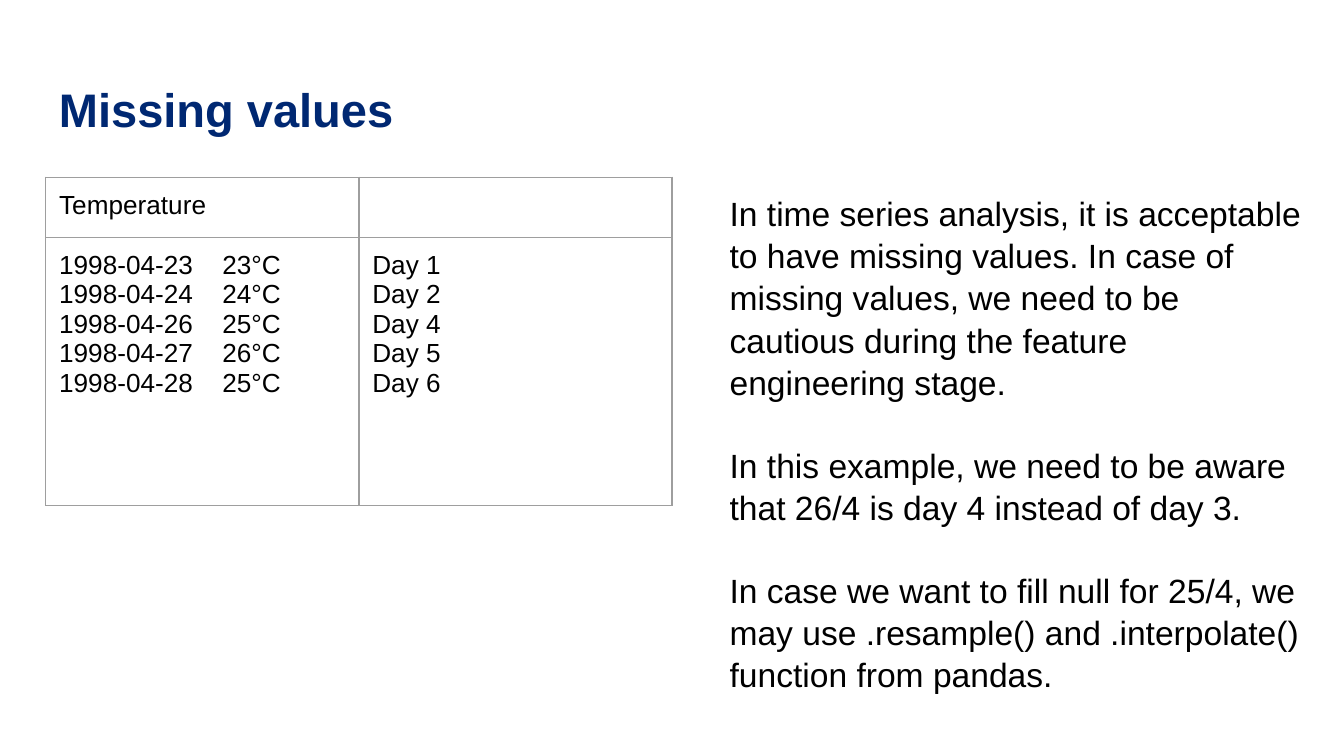
from lxml import etree
from pptx import Presentation
from pptx.dml.color import RGBColor
from pptx.enum.text import MSO_ANCHOR
from pptx.oxml.ns import qn
from pptx.util import Pt

TOP, MIDDLE = MSO_ANCHOR.TOP, MSO_ANCHOR.MIDDLE
BLANK_LAYOUT = 6
COLORS = {"title": "002872", "text": "000000", "border": "9E9E9E"}
TITLE_FONT = {"name": "Arial", "size": Pt(25.2), "bold": True}
TABLE_FONT = {"name": "Arial", "size": Pt(14), "bold": False}
BODY_FONT = {"name": "Arial", "size": Pt(18), "bold": False}
INSET = Pt(7.2)
MARGINS = ("margin_left", "margin_top", "margin_right", "margin_bottom")
LEFT, TOP_EDGE = Pt(24.5), Pt(95)
READING_TAB = Pt(87.4)

READINGS = [
    ("1998-04-23", "23°C", "Day 1"),
    ("1998-04-24", "24°C", "Day 2"),
    ("1998-04-26", "25°C", "Day 4"),
    ("1998-04-27", "26°C", "Day 5"),
    ("1998-04-28", "25°C", "Day 6"),
]
NOTES = [
    "In time series analysis, it is acceptable to have missing values. In case of "
    "missing values, we need to be cautious during the feature engineering stage.",
    "In this example, we need to be aware that 26/4 is day 4 instead of day 3.",
    "In case we want to fill null for 25/4, we may use .resample() and "
    ".interpolate() function from pandas.",
]


def set_values(target, values):
    for name, value in values.items():
        setattr(target, name, value)


def add_tab_stop(para, position):
    tabs = etree.SubElement(para._p.get_or_add_pPr(), qn("a:tabLst"))
    etree.SubElement(tabs, qn("a:tab"), pos=str(int(position)), algn="l")


def write_paragraphs(frame, lines, font, color, tab=None, spacing=None, gap=0):
    for index, line in enumerate(lines):
        para = frame.paragraphs[0] if index == 0 else frame.add_paragraph()
        if spacing:
            para.line_spacing = spacing
        if index and gap:
            para.space_before = gap
        if tab:
            add_tab_stop(para, tab)
        para.text = line
        set_values(para.font, font)
        para.font.color.rgb = RGBColor.from_string(COLORS[color])


def add_text(page, position, lines, font, color, anchor=TOP, **layout):
    frame = page.shapes.add_textbox(*position).text_frame
    set_values(frame, dict.fromkeys(MARGINS, INSET))
    set_values(frame, {"word_wrap": True, "vertical_anchor": anchor})
    write_paragraphs(frame, lines, font, color, **layout)


def set_borders(cell):
    properties = cell._tc.get_or_add_tcPr()
    for index, side in enumerate(("a:lnL", "a:lnR", "a:lnT", "a:lnB")):
        line = etree.Element(qn(side), w=str(int(Pt(0.75))))
        fill = etree.SubElement(line, qn("a:solidFill"))
        etree.SubElement(fill, qn("a:srgbClr"), val=COLORS["border"])
        properties.insert(index, line)


def add_readings_table(page):
    dates = [f"{date}\t{reading}" for date, reading, _ in READINGS]
    days = [day for _, _, day in READINGS]
    contents = [[["Temperature"], [""]], [dates, days]]
    widths, heights = [Pt(167.8)] * 2, [Pt(32.2), Pt(143.5)]
    table = page.shapes.add_table(
        2, 2, LEFT, TOP_EDGE, sum(widths), sum(heights)).table
    set_values(table, {"first_row": False, "horz_banding": False})
    for column, width in zip(table.columns, widths):
        column.width = width
    for row, height, row_contents in zip(table.rows, heights, contents):
        row.height = height
        for cell, lines in zip(row.cells, row_contents):
            set_values(cell, dict.fromkeys(MARGINS, INSET))
            cell.fill.background()
            set_borders(cell)
            tab = READING_TAB if lines is dates else None
            write_paragraphs(cell.text_frame, lines, TABLE_FONT, "text", tab)


def main():
    deck = Presentation()
    deck.slide_width, deck.slide_height = Pt(720), Pt(405)
    page = deck.slides.add_slide(deck.slide_layouts[BLANK_LAYOUT])
    add_text(page, (LEFT, Pt(35.3), Pt(671), Pt(45.4)), ["Missing values"],
             TITLE_FONT, "title", MIDDLE)
    add_readings_table(page)
    add_text(page, (Pt(383.8), TOP_EDGE, Pt(321), Pt(276.5)), NOTES,
             BODY_FONT, "text", spacing=1.05, gap=Pt(21.6))
    deck.save("out.pptx")


if __name__ == "__main__":
    main()
